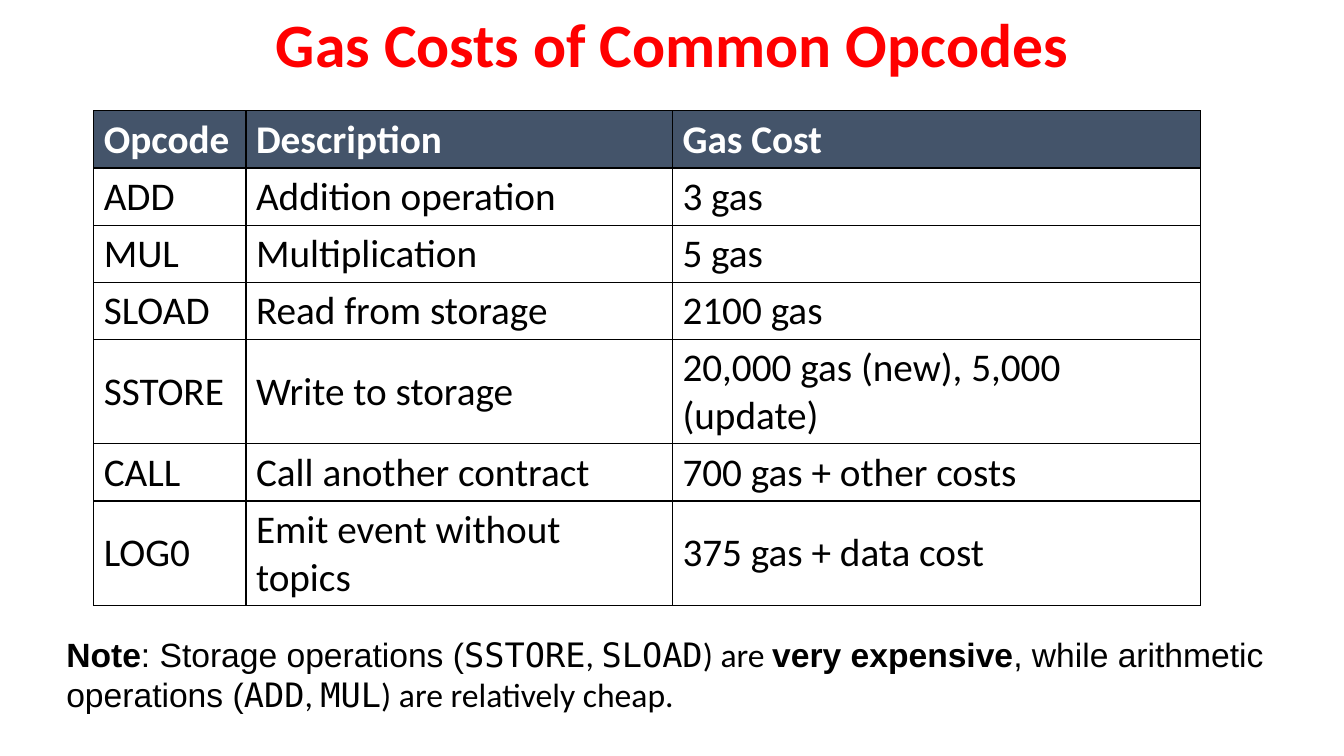
"""Build the slide on gas costs of common opcodes."""
from lxml import etree
from pptx import Presentation
from pptx.dml.color import RGBColor
from pptx.enum.text import MSO_ANCHOR, PP_ALIGN
from pptx.oxml.ns import qn
from pptx.util import Inches, Pt

MIDDLE = MSO_ANCHOR.MIDDLE
CENTER = PP_ALIGN.CENTER
COLORS = {"title": "FF0000", "header": "44546A", "header_text": "FFFFFF",
          "text": "000000", "border": "000000"}
BODY, SANS, MONO = "Calibri", "Arial", "DejaVu Sans Mono"

TITLE = "Gas Costs of Common Opcodes"
ROWS = [
    ("Opcode", "Description", "Gas Cost"),
    ("ADD", "Addition operation", "3 gas"),
    ("MUL", "Multiplication", "5 gas"),
    ("SLOAD", "Read from storage", "2100 gas"),
    ("SSTORE", "Write to storage", "20,000 gas (new), 5,000 (update)"),
    ("CALL", "Call another contract", "700 gas + other costs"),
    ("LOG0", "Emit event without topics", "375 gas + data cost"),
]
COLUMN_WIDTHS = (1.51, 4.23, 5.24)
ROW_HEIGHT = 0.46
NOTE = [
    ("Note", SANS, True),
    (": Storage operations (", SANS, False),
    ("SSTORE", MONO, False),
    (", ", BODY, False),
    ("SLOAD", MONO, False),
    (") are ", BODY, False),
    ("very expensive", SANS, True),
    (", while arithmetic operations (", SANS, False),
    ("ADD", MONO, False),
    (", ", BODY, False),
    ("MUL", MONO, False),
    (") are relatively cheap.", BODY, False),
]


def style_font(font, size, color, name=BODY, bold=False):
    font.size = Pt(size)
    font.name = name
    font.bold = bold
    font.color.rgb = RGBColor.from_string(COLORS[color])


def add_text_box(page, left, top, width, height):
    box = page.shapes.add_textbox(*map(Inches, (left, top, width, height)))
    box.text_frame.word_wrap = True
    box.text_frame.vertical_anchor = MIDDLE
    return box.text_frame.paragraphs[0]


def add_borders(cell):
    properties = cell._tc.get_or_add_tcPr()
    for position, side in enumerate(("a:lnL", "a:lnR", "a:lnT", "a:lnB")):
        line = etree.Element(qn(side), w=str(Pt(1)))
        fill = etree.SubElement(line, qn("a:solidFill"))
        etree.SubElement(fill, qn("a:srgbClr"), val=COLORS["border"])
        properties.insert(position, line)


def add_cost_table(page):
    frame = page.shapes.add_table(
        len(ROWS), len(COLUMN_WIDTHS), Inches(0.93), Inches(1.1),
        Inches(sum(COLUMN_WIDTHS)), Inches(ROW_HEIGHT * len(ROWS)))
    table = frame.table
    table.horz_banding = False
    for column, width in zip(table.columns, COLUMN_WIDTHS):
        column.width = Inches(width)
    for row_index, values in enumerate(ROWS):
        is_header = row_index == 0
        table.rows[row_index].height = Inches(ROW_HEIGHT)
        for column_index, value in enumerate(values):
            cell = table.cell(row_index, column_index)
            cell.text = value
            cell.vertical_anchor = MIDDLE
            style_font(cell.text_frame.paragraphs[0].font, 28,
                       "header_text" if is_header else "text", bold=is_header)
            if is_header:
                cell.fill.solid()
                cell.fill.fore_color.rgb = RGBColor.from_string(COLORS["header"])
            else:
                cell.fill.background()
            add_borders(cell)


def main():
    deck = Presentation()
    deck.slide_width, deck.slide_height = Inches(13.33), Inches(7.5)
    page = deck.slides.add_slide(deck.slide_layouts[6])

    title = add_text_box(page, 0.92, 0.04, 11.5, 0.87)
    title.text = TITLE
    title.alignment = CENTER
    title.line_spacing = 0.9
    style_font(title.font, 44, "title", bold=True)

    add_cost_table(page)

    note = add_text_box(page, 0.56, 6.23, 12.26, 0.91)
    for text, name, bold in NOTE:
        span = note.add_run()
        span.text = text
        style_font(span.font, 24, "text", name, bold)

    deck.save("out.pptx")


if __name__ == "__main__":
    main()
